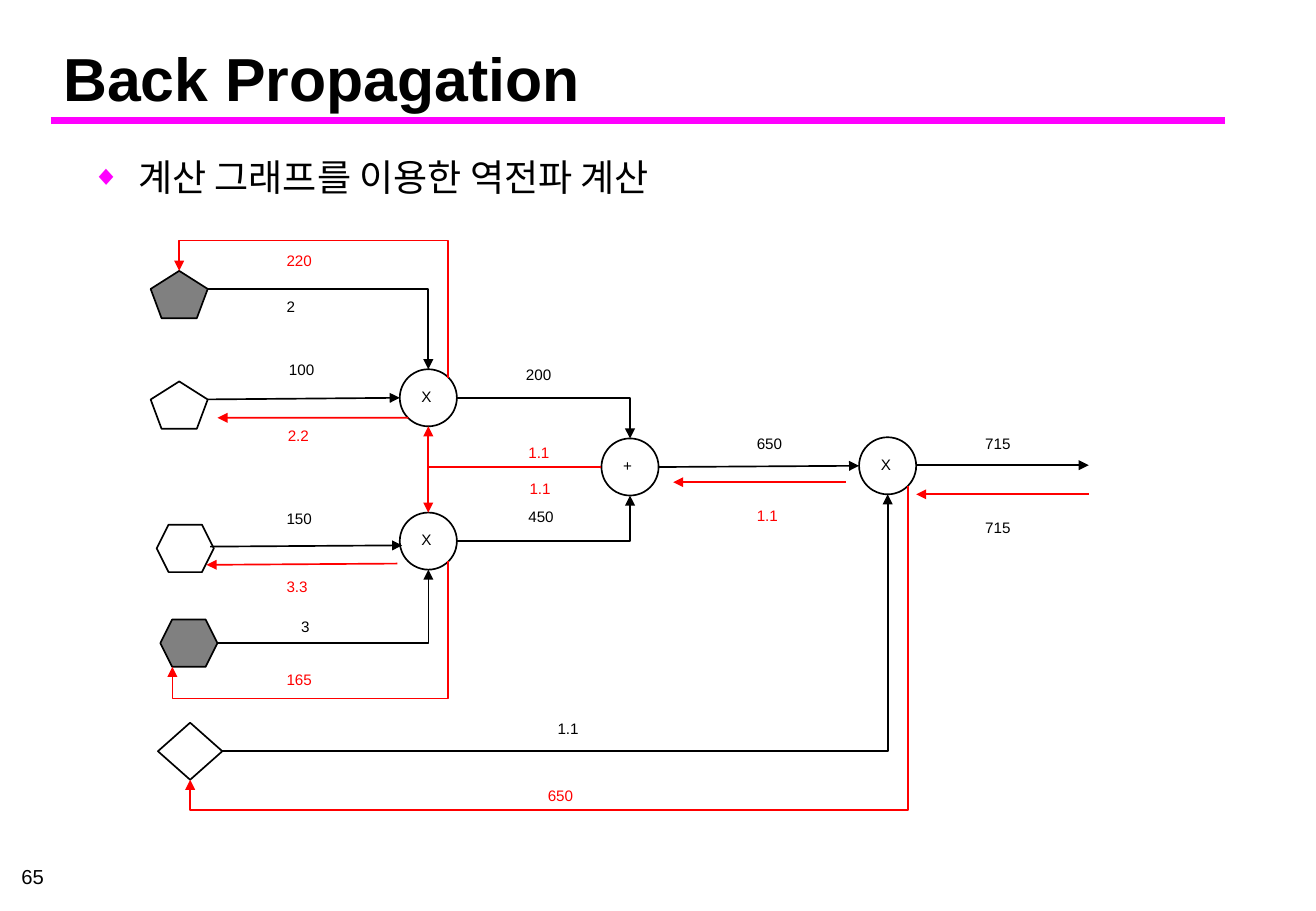
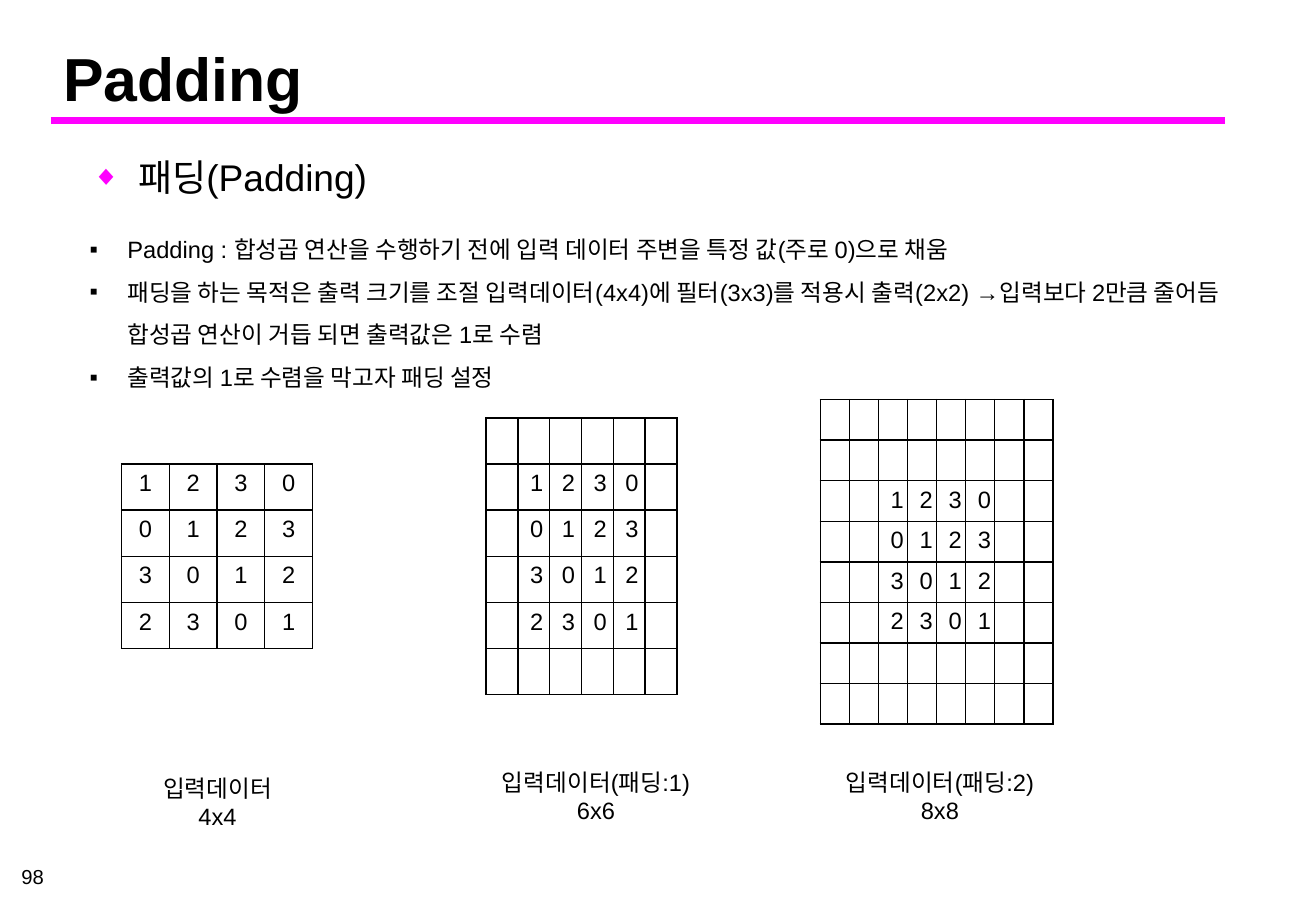
from dataclasses import dataclass
from typing import NamedTuple, Optional

from lxml import etree
from pptx import Presentation
from pptx import util as u
from pptx.dml.color import RGBColor
from pptx.enum import shapes, text
from pptx.oxml.ns import qn

MSO, CXN, AL, ANC = (shapes.MSO_SHAPE, shapes.MSO_CONNECTOR,
                     text.PP_ALIGN, text.MSO_ANCHOR)


@dataclass(frozen=True)
class Theme:
    ink: str = "000000"
    accent: str = "FF00FF"
    back: str = "FF0000"
    grey: str = "808080"
    font: str = "Arial"
    title: float = 36
    head: float = 22
    body: float = 14
    page: float = 12
    label: float = 9
    rule: float = 4
    line: float = 1


T = Theme()
CELL = u.Inches(0.1)       # the slide is a grid of 108.3 columns by 75 rows


def g(n: float) -> int:
    return round(n * CELL)


class Box(NamedTuple):
    col: float
    row: float
    cols: float
    rows: float

    def emu(self) -> list:
        return [g(v) for v in self]


@dataclass(frozen=True)
class Node:
    kind: str
    box: Box
    fill: Optional[str] = None
    symbol: str = ""


@dataclass(frozen=True)
class Edge:
    start: tuple           # (node, site) or (column, row)
    end: tuple
    back: bool = False
    bent: bool = False
    via_row: Optional[float] = None


class Label(NamedTuple):
    col: float
    row: float
    words: str
    back: bool = False


class Grid(NamedTuple):
    col: float
    row: float
    cell_w: float
    cell_h: float
    pad: int
    caption: Box
    words: tuple


# Connection sites by shape: index, share of width, share of height
KINDS = {"pentagon": MSO.REGULAR_PENTAGON, "hexagon": MSO.HEXAGON,
         "ellipse": MSO.OVAL, "diamond": MSO.DIAMOND}
SITES = {
    "pentagon": {"top": (0, .5, 0), "right": (5, 1, .38)},
    "hexagon": {"right": (0, 1, .5), "foot": (2, .21, 1)},
    "ellipse": {"top": (0, .5, 0), "left": (2, 0, .5), "foot": (3, .15, .85),
                "bottom": (4, .5, 1), "low": (5, .85, .85),
                "right": (6, 1, .5), "high": (7, .85, .15)},
    "diamond": {"bottom": (2, .5, 1), "right": (3, 1, .5)},
}

NODES = {
    "apple": Node("pentagon", Box(12.4, 31.4, 4.7, 3.9)),
    "apples": Node("pentagon", Box(12.4, 22.3, 4.7, 3.9), T.grey),
    "orange": Node("hexagon", Box(12.9, 43.2, 4.7, 3.9)),
    "oranges": Node("hexagon", Box(13.2, 51, 4.7, 3.9), T.grey),
    "tax": Node("diamond", Box(13, 59.5, 5.3, 4.7)),
    "mul1": Node("ellipse", Box(32.9, 30.4, 4.7, 4.7), symbol="X"),
    "mul2": Node("ellipse", Box(32.9, 42.2, 4.7, 4.7), symbol="X"),
    "plus": Node("ellipse", Box(49.5, 36.1, 4.7, 4.7), symbol="+"),
    "mul3": Node("ellipse", Box(70.7, 36, 4.7, 4.7), symbol="X"),
}

EDGES = [
    Edge(("apple", "right"), ("mul1", "left")),
    Edge((17.3, 45), (33.1, 44.9)),
    Edge(("apples", "right"), ("mul1", "top"), bent=True),
    Edge(("oranges", "right"), ("mul2", "bottom"), bent=True),
    Edge(("mul1", "right"), ("plus", "top"), bent=True),
    Edge(("mul2", "right"), ("plus", "bottom"), bent=True),
    Edge(("plus", "right"), ("mul3", "left")),
    Edge(("tax", "right"), ("mul3", "bottom"), bent=True),
    Edge((75.4, 38.3), (89.6, 38.3)),
    Edge((89.6, 40.7), (75.4, 40.7), back=True),
    Edge((69.6, 39.7), (55.4, 39.7), back=True),
    Edge(("mul3", "low"), ("tax", "bottom"), back=True, via_row=66.7),
    Edge(("plus", "left"), ("mul1", "bottom"), back=True, bent=True),
    Edge(("plus", "left"), ("mul2", "top"), back=True, bent=True),
    Edge(("mul1", "foot"), (17.9, 34.4), back=True),
    Edge(("mul1", "high"), ("apples", "top"), back=True, via_row=19.8),
    Edge((32.7, 46.4), (17, 46.5), back=True),
    Edge(("mul2", "low"), ("oranges", "foot"), back=True, via_row=57.5),
]

LABELS = [
    Label(22.8, 29.2, "100"), Label(22.6, 41.4, "150"), Label(22.6, 24, "2"),
    Label(23.8, 50.3, "3"), Label(42.3, 29.6, "200"),
    Label(42.5, 41.3, "450"), Label(61.3, 35.3, "650"),
    Label(44.9, 58.7, "1.1"), Label(80.1, 35.3, "715"),
    Label(80.1, 42.2, "715"), Label(61.3, 41.2, "1.1", True),
    Label(44.1, 64.2, "650", True), Label(42.5, 36, "1.1", True),
    Label(42.6, 39, "1.1", True), Label(22.6, 20.2, "220", True),
    Label(22.7, 34.6, "2.2", True), Label(22.6, 47, "3.3", True),
    Label(22.6, 54.7, "165", True),
]

DATA = ["1230", "0123", "3012", "2301"]
GRIDS = [
    Grid(40, 34.4, 2.62, 3.8, 1, Box(39.2, 62.7, 19.7, 5.7),
         ("입력데이터(패딩:1)", "6x6")),
    Grid(10, 38.2, 3.93, 3.8, 0, Box(12, 63.2, 11.8, 5.7),
         ("입력데이터", "4x4")),
    Grid(67.5, 32.9, 2.28, 3, 2, Box(67.5, 62.7, 19.7, 5.7),
         ("입력데이터(패딩:2)", "8x8")),
]
NOTES = (
    "Padding : 합성곱 연산을 수행하기 전에 입력 데이터 주변을 특정 값(주로 0)으로 채움",
    "패딩을 하는 목적은 출력 크기를 조절 입력데이터(4x4)에 필터(3x3)를 적용시 출력(2x2) "
    "→입력보다 2만큼 줄어듬 합성곱 연산이 거듭 되면 출력값은 1로 수렴",
    "출력값의 1로 수렴을 막고자 패딩 설정",
)


def rgb(color: str) -> RGBColor:
    return RGBColor.from_string(color)


def add_xml(parent, tag: str, **attrs):
    return etree.SubElement(parent, qn(tag), attrs)


def write(p, words: str, size: float, color: str = T.ink, bold: bool = False):
    r = p.add_run()
    r.text = words
    for name, value in {"name": T.font, "size": u.Pt(size),
                        "bold": bold}.items():
        setattr(r.font, name, value)
    r.font.color.rgb = rgb(color)


def add_bullet(p, char: str, indent: float, color: str = "", size: int = 100):
    pPr = p._p.get_or_add_pPr()
    pPr.set("marL", str(g(indent)))
    pPr.set("indent", str(-g(indent)))
    if color:
        add_xml(add_xml(pPr, "a:buClr"), "a:srgbClr", val=color)
    add_xml(pPr, "a:buSzPct", val=str(size * 1000))
    add_xml(pPr, "a:buFont", typeface=T.font)
    add_xml(pPr, "a:buChar", char=char)


def add_text(s, box: Box, lines, size: float, color: str = T.ink,
             align=AL.LEFT, anchor=ANC.TOP, spacing: float = 1, bullet=None):
    tf = s.shapes.add_textbox(*box.emu()).text_frame
    tf.word_wrap, tf.vertical_anchor = True, anchor
    for i, words in enumerate(lines):
        p = tf.add_paragraph() if i else tf.paragraphs[0]
        p.alignment, p.line_spacing = align, spacing
        if bullet:
            add_bullet(p, *bullet)
        write(p, words, size, color)


def finish_line(c, color: str, width: float, arrow: bool = True):
    c.line.color.rgb, c.line.width = rgb(color), u.Pt(width)
    spPr = c.element.spPr
    if arrow:
        add_xml(spPr.find(qn("a:ln")), "a:tailEnd", type="triangle")
    add_xml(spPr, "a:effectLst")


def add_page(prs, title: str, head: str, number: str):
    """Slide with the shared title, rule, page number and heading."""
    s = prs.slides.add_slide(prs.slide_layouts[5])
    rule = s.shapes.add_connector(CXN.STRAIGHT, g(4.2), g(9.9),
                                  g(100.8), g(9.9))
    finish_line(rule, T.accent, T.rule, arrow=False)
    sp = s.shapes.title
    sp.left, sp.top, sp.width, sp.height = Box(4.2, 2.8, 95.8, 7.1).emu()
    tf = sp.text_frame
    for name, value in {"vertical_anchor": ANC.BOTTOM, "word_wrap": True,
                        "auto_size": text.MSO_AUTO_SIZE.NONE}.items():
        setattr(tf, name, value)
    tf.paragraphs[0].alignment = AL.LEFT
    write(tf.paragraphs[0], title, T.title, bold=True)
    add_text(s, Box(0, 71.4, 4.6, 1.5), [number], T.page,
             align=AL.RIGHT, anchor=ANC.MIDDLE)
    add_text(s, Box(6.6, 11.5, 94, 5.5), [head], T.head, spacing=1.2,
             bullet=("◆", 3.8, T.accent, 75))
    return s


def add_node(s, node: Node):
    sp = s.shapes.add_shape(KINDS[node.kind], *node.box.emu())
    sp.shadow.inherit = False
    if node.fill:
        sp.fill.solid()
        sp.fill.fore_color.rgb = rgb(node.fill)
    else:
        sp.fill.background()
    sp.line.color.rgb, sp.line.width = rgb(T.ink), u.Pt(T.line)
    if node.symbol:
        add_text(s, Box(node.box.col + .8, node.box.row + 1, 3.9, 2.5),
                 [node.symbol], T.label)
    return sp


def locate(end: tuple) -> tuple:
    """Column, row and site index of one end of an edge."""
    if not isinstance(end[0], str):
        return (*end, None)
    node = NODES[end[0]]
    idx, fx, fy = SITES[node.kind][end[1]]
    b = node.box
    return b.col + fx * b.cols, b.row + fy * b.rows, idx


def add_edge(s, edge: Edge, drawn: dict):
    (x1, y1, i1), (x2, y2, i2) = locate(edge.start), locate(edge.end)
    kind = CXN.ELBOW if edge.bent or edge.via_row else CXN.STRAIGHT
    points = (x1, y1, x2, y2)
    if edge.via_row:       # leaves vertically: lay it flat, then turn it
        cx, cy = (x1 + x2) / 2, (y1 + y2) / 2
        w, h = abs(y2 - y1) / 2, (x1 - x2) / 2
        flip = 1 if y2 > y1 else -1
        points = (cx - w, cy - h * flip, cx + w, cy + h * flip)
    c = s.shapes.add_connector(kind, *map(g, points))
    spPr = c.element.spPr
    geom = spPr.find(qn("a:prstGeom"))
    if edge.bent:
        geom.set("prst", "bentConnector2")
    if edge.via_row:
        spPr.find(qn("a:xfrm")).set("rot", str((180 - 90 * flip) * 60000))
        share = round((edge.via_row - y1) / (y2 - y1) * 100000)
        av = geom.find(qn("a:avLst"))
        if av is None:
            av = add_xml(geom, "a:avLst")
        add_xml(av, "a:gd", name="adj1", fmla=f"val {share}")
    joints = c.element.find(".//" + qn("p:cNvCxnSpPr"))
    for tag, end, idx in (("a:stCxn", edge.start, i1),
                          ("a:endCxn", edge.end, i2)):
        if idx is not None:
            add_xml(joints, tag, id=str(drawn[end[0]].shape_id), idx=str(idx))
    finish_line(c, T.back if edge.back else T.ink, T.line)


def add_grid(s, grid: Grid):
    n = len(DATA) + 2 * grid.pad
    box = Box(grid.col, grid.row, n * grid.cell_w, n * grid.cell_h)
    table = s.shapes.add_table(n, n, *box.emu()).table
    table.first_row = table.horz_banding = False
    for k, cell in enumerate(table.iter_cells()):
        r, c = (v - grid.pad for v in divmod(k, n))
        p = cell.text_frame.paragraphs[0]
        p.alignment = AL.CENTER
        if 0 <= r < len(DATA) and 0 <= c < len(DATA):
            write(p, DATA[r][c], T.body)
        else:
            add_xml(p._p, "a:endParaRPr", sz=str(T.body * 100))
        tcPr = cell._tc.get_or_add_tcPr()
        for side in "LRTB":
            ln = add_xml(tcPr, f"a:ln{side}", w=str(u.Pt(T.line)))
            add_xml(add_xml(ln, "a:solidFill"), "a:srgbClr", val=T.ink)
        cell.fill.background()
    add_text(s, grid.caption, grid.words, T.body, align=AL.CENTER)


def main():
    prs = Presentation()
    prs.slide_width, prs.slide_height = g(108.3), g(75)

    # Computation graph
    s = add_page(prs, "Back Propagation", "계산 그래프를 이용한 역전파 계산", "65")
    drawn = {name: add_node(s, node) for name, node in NODES.items()}
    for edge in EDGES:
        add_edge(s, edge, drawn)
    for lb in LABELS:
        add_text(s, Box(lb.col, lb.row, 4.7, 2.5), [lb.words], T.label,
                 T.back if lb.back else T.ink)

    # Padded inputs
    s = add_page(prs, "Padding", "패딩(Padding)", "98")
    add_text(s, Box(6.4, 17.7, 98.3, 14.7), NOTES, T.body, spacing=1.5,
             bullet=("▪", 3.1))
    for grid in GRIDS:
        add_grid(s, grid)
    prs.save("out.pptx")


if __name__ == "__main__":
    main()
